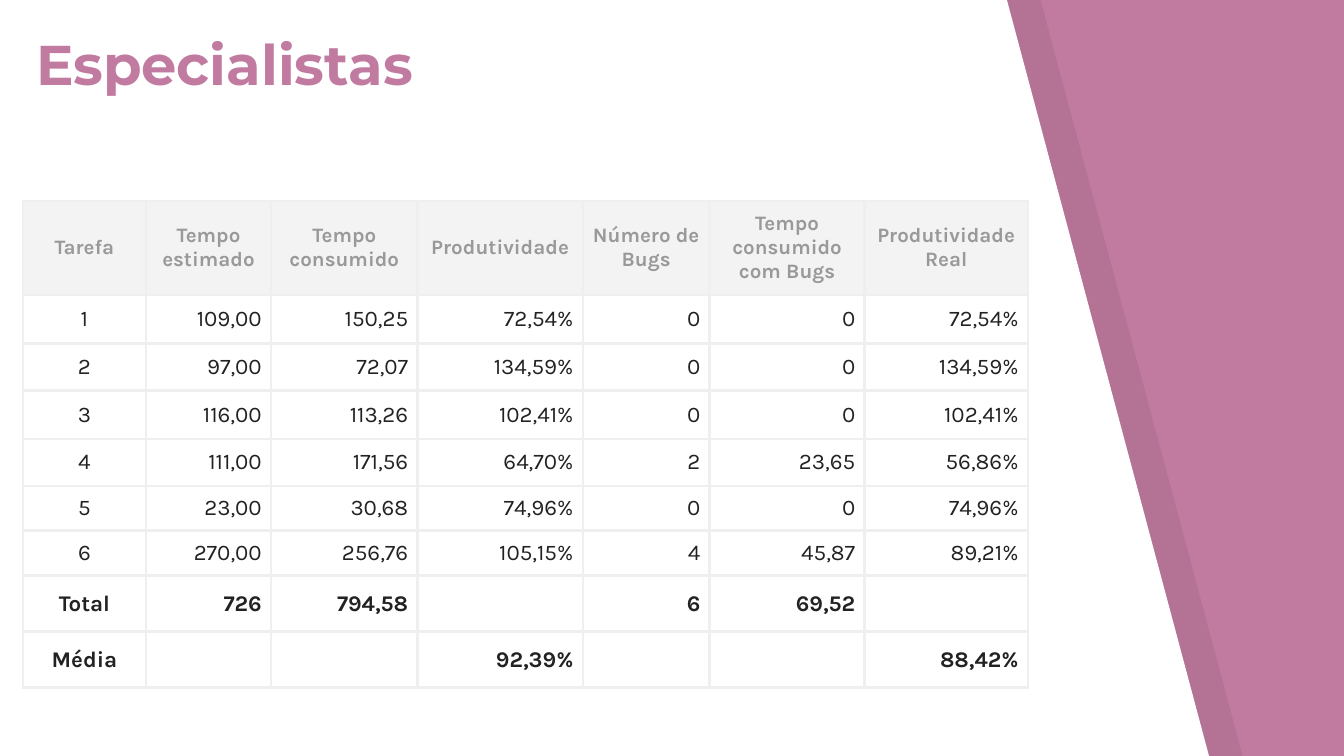
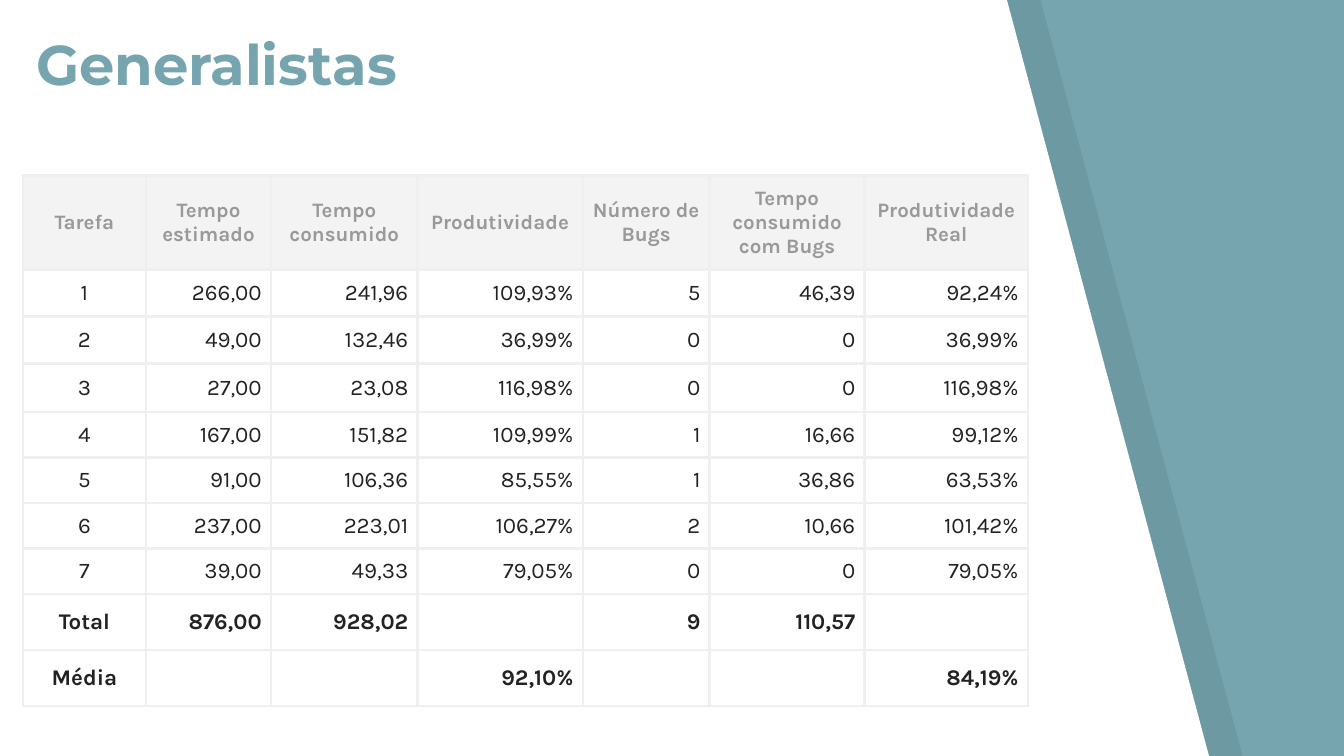
from lxml.etree import SubElement
from pptx import Presentation
from pptx.dml.color import RGBColor as RGB
from pptx.enum.text import MSO_ANCHOR as Anchor, PP_ALIGN as Align
from pptx.oxml import parse_xml
from pptx.oxml.ns import nsdecls, qn
from pptx.util import Pt

PINK = RGB(0xC2, 0x7B, 0xA0)
TEAL = RGB(0x76, 0xA5, 0xAF)
WHITE = RGB(0xFF, 0xFF, 0xFF)
BLACK = RGB(0x00, 0x00, 0x00)
HEADER_FILL = RGB(0xF3, 0xF3, 0xF3)
HEADER_TEXT = RGB(0x99, 0x99, 0x99)
BODY_TEXT = RGB(0x22, 0x22, 0x22)
BORDER = RGB(0xEF, 0xEF, 0xEF)

TITLE_FONT, TABLE_FONT = "Montserrat", "Karla"
SLIDE_WIDTH, SLIDE_HEIGHT = 720, 405
MARGIN = 12.24
PANEL_BOX = (0, -0.72, 648, 406.8)
PANEL_SLANT = 108.72
SHADE_OFFSET = 18
TITLE_BOX = (MARGIN, 7.92, 236.16, 51.84)
CELL_INSET = 5

COLUMN_WIDTHS = [66, 67, 78.5, 88.5, 68, 83, 87.5]
HEADER_HEIGHT, SUMMARY_HEIGHT = 50.4, 30
HEADERS = ["Tarefa", "Tempo estimado", "Tempo consumido", "Produtividade",
           "Número de Bugs", "Tempo consumido com Bugs", "Produtividade Real"]

SPECIALIST_TASKS = [
    ["1", "109,00", "150,25", "72,54%", "0", "0", "72,54%"],
    ["2", "97,00", "72,07", "134,59%", "0", "0", "134,59%"],
    ["3", "116,00", "113,26", "102,41%", "0", "0", "102,41%"],
    ["4", "111,00", "171,56", "64,70%", "2", "23,65", "56,86%"],
    ["5", "23,00", "30,68", "74,96%", "0", "0", "74,96%"],
    ["6", "270,00", "256,76", "105,15%", "4", "45,87", "89,21%"],
]
SPECIALIST_SUMMARY = [
    ["Total", "726", "794,58", "", "6", "69,52", ""],
    ["Média", "", "", "92,39%", "", "", "88,42%"],
]
GENERALIST_TASKS = [
    ["1", "266,00", "241,96", "109,93%", "5", "46,39", "92,24%"],
    ["2", "49,00", "132,46", "36,99%", "0", "0", "36,99%"],
    ["3", "27,00", "23,08", "116,98%", "0", "0", "116,98%"],
    ["4", "167,00", "151,82", "109,99%", "1", "16,66", "99,12%"],
    ["5", "91,00", "106,36", "85,55%", "1", "36,86", "63,53%"],
    ["6", "237,00", "223,01", "106,27%", "2", "10,66", "101,42%"],
    ["7", "39,00", "49,33", "79,05%", "0", "0", "79,05%"],
]
GENERALIST_SUMMARY = [
    ["Total", "876,00", "928,02", "", "9", "110,57", ""],
    ["Média", "", "", "92,10%", "", "", "84,19%"],
]


def add_slanted_panel(slide, box, color, opacity=None):
    """Draw a panel whose right edge leans outwards towards the bottom."""
    left, top, width, height = box
    right, bottom = left + width, top + height
    corners = [(left, bottom), (right, bottom), (right - PANEL_SLANT, top)]
    outline = slide.shapes.build_freeform(Pt(left), Pt(top))
    outline.add_line_segments([(Pt(x), Pt(y)) for x, y in corners], close=True)
    panel = outline.convert_to_shape()
    panel.shadow.inherit = False
    panel.line.fill.background()
    panel.fill.solid()
    panel.fill.fore_color.rgb = color
    if opacity is not None:
        tint = panel.fill._xPr.find(qn("a:solidFill"))[0]
        SubElement(tint, qn("a:alpha"), val=str(opacity * 1000))


def add_background(slide, accent):
    slide.background.fill.solid()
    slide.background.fill.fore_color.rgb = accent
    left, *rest = PANEL_BOX
    add_slanted_panel(slide, (left + SHADE_OFFSET, *rest), BLACK, opacity=7)
    add_slanted_panel(slide, PANEL_BOX, WHITE)


def set_font(paragraph, name, size, color, bold):
    font = paragraph.font
    font.name, font.size, font.bold = name, Pt(size), bold
    font.color.rgb = color


def add_title(slide, box, title, accent):
    frame = slide.shapes.add_textbox(*map(Pt, box)).text_frame
    frame.word_wrap = True
    frame.vertical_anchor = Anchor.MIDDLE
    frame.margin_left = frame.margin_right = Pt(7.2)
    frame.margin_top = frame.margin_bottom = Pt(7.2)
    frame.text = title
    set_font(frame.paragraphs[0], TITLE_FONT, 30, accent, True)


def add_borders(cell):
    properties = cell._tc.get_or_add_tcPr()
    for position, side in enumerate("LRTB"):
        properties.insert(position, parse_xml(
            f'<a:ln{side} {nsdecls("a")} w="{Pt(1.5)}"><a:solidFill>'
            f'<a:srgbClr val="{BORDER}"/></a:solidFill></a:ln{side}>'))


def fill_cell(cell, text, align, size, color, bold, fill=None):
    cell.text = text
    cell.vertical_anchor = Anchor.MIDDLE
    cell.margin_left = cell.margin_right = Pt(CELL_INSET)
    cell.margin_top = cell.margin_bottom = Pt(CELL_INSET)
    paragraph = cell.text_frame.paragraphs[0]
    paragraph.alignment = align
    set_font(paragraph, TABLE_FONT, size, color, bold)
    if fill is None:
        cell.fill.background()
    else:
        cell.fill.solid()
        cell.fill.fore_color.rgb = fill
    add_borders(cell)


def add_task_table(slide, left, top, tasks, task_heights, summary):
    rows = [HEADERS, *tasks, *summary]
    heights = [HEADER_HEIGHT, *task_heights] + [SUMMARY_HEIGHT] * len(summary)
    table = slide.shapes.add_table(
        len(rows), len(HEADERS), Pt(left), Pt(top),
        Pt(sum(COLUMN_WIDTHS)), Pt(sum(heights))).table
    table.first_row = table.horz_banding = False
    for column, width in zip(table.columns, COLUMN_WIDTHS):
        column.width = Pt(width)
    for r, (values, height) in enumerate(zip(rows, heights)):
        table.rows[r].height = Pt(height)
        for c, value in enumerate(values):
            cell = table.cell(r, c)
            if r == 0:
                fill_cell(cell, value, Align.CENTER, 11, HEADER_TEXT, True,
                          HEADER_FILL)
            else:
                fill_cell(cell, value, Align.RIGHT if c else Align.CENTER,
                          12, BODY_TEXT, r > len(tasks))


def add_team_slide(deck, title, accent, table_top, tasks, task_heights, summary):
    slide = deck.slides.add_slide(deck.slide_layouts[6])
    add_background(slide, accent)
    add_task_table(slide, MARGIN, table_top, tasks, task_heights, summary)
    add_title(slide, TITLE_BOX, title, accent)


def main():
    deck = Presentation()
    deck.slide_width, deck.slide_height = Pt(SLIDE_WIDTH), Pt(SLIDE_HEIGHT)
    add_team_slide(deck, "Especialistas", PINK, 107.7, SPECIALIST_TASKS,
                   [26, 25.2, 25.8, 25.2, 24, 24], SPECIALIST_SUMMARY)
    add_team_slide(deck, "Generalistas", TEAL, 94, GENERALIST_TASKS,
                   [25.2, 25.2, 25.8, 24, 24, 24, 24], GENERALIST_SUMMARY)
    deck.save("out.pptx")


if __name__ == "__main__":
    main()
